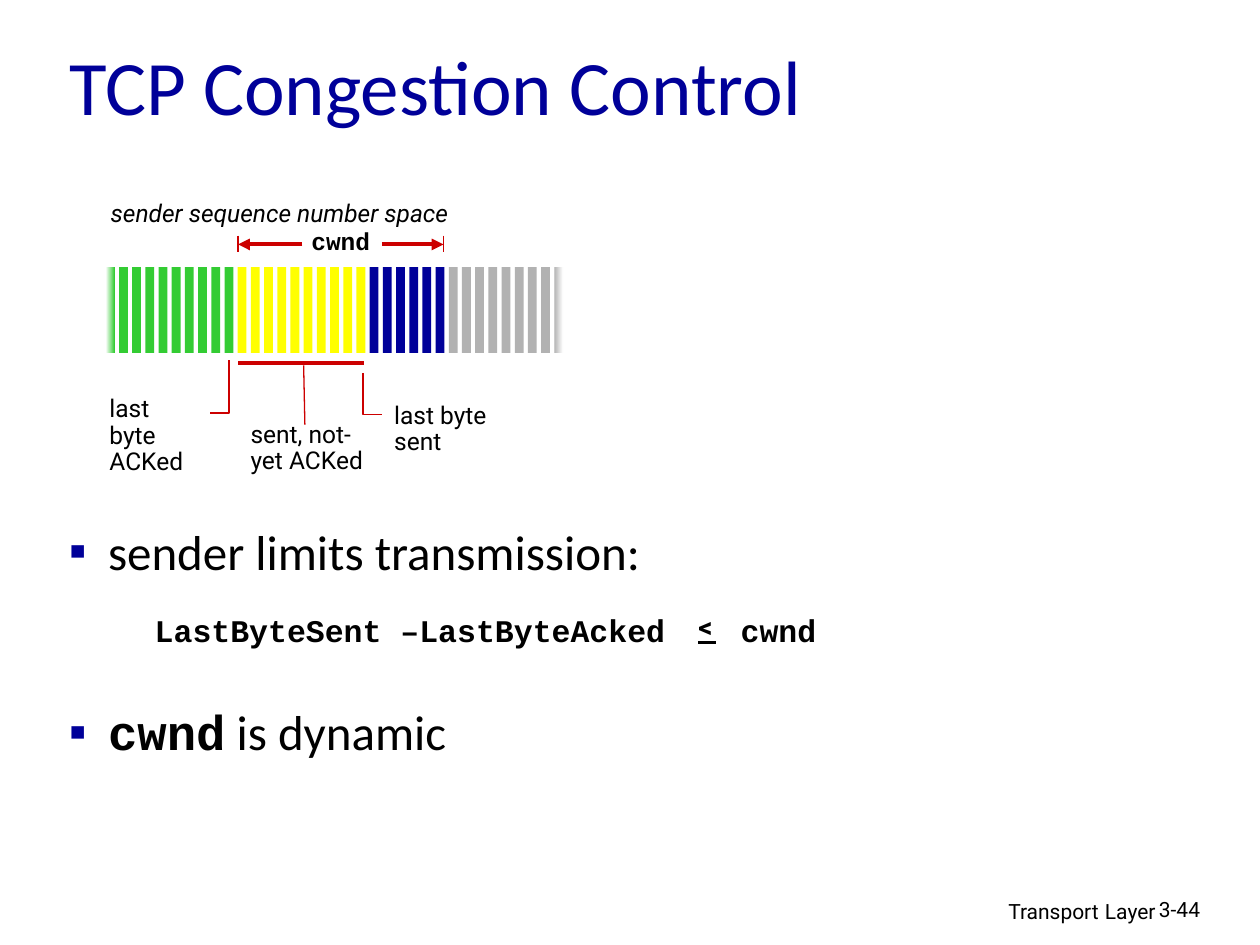
from lxml import etree
from pptx import Presentation
from pptx.dml.color import RGBColor
from pptx.enum.shapes import MSO_CONNECTOR as Connector, MSO_SHAPE as Shape
from pptx.enum.text import MSO_ANCHOR as Anchor, PP_ALIGN as Align
from pptx.oxml.ns import qn
from pptx.util import Inches, Pt

BLACK, NAVY, RED = "000000", "000099", "CC0000"
GREEN, YELLOW, GRAY, WHITE = "33CC33", "FFFF00", "B2B2B2", "FFFFFF"
SANS, LABEL, CODE = "Calibri", "Roboto", "Courier New"


def color(value):
    return RGBColor.from_string(value)


class SlideBuilder:
    def __init__(self, slide):
        self.slide = slide

    def text(self, left, top, width, height, wrap=True, anchor=Anchor.TOP):
        box = self.slide.shapes.add_textbox(
            Inches(left), Inches(top), Inches(width), Inches(height))
        box.text_frame.word_wrap = wrap
        box.text_frame.vertical_anchor = anchor
        return box.text_frame

    def paragraph(self, frame, first=True, align=Align.LEFT, spacing=1.0, before=0):
        paragraph = frame.paragraphs[0] if first else frame.add_paragraph()
        paragraph.alignment = align
        paragraph.line_spacing = spacing
        if before:
            paragraph.space_before = Pt(before)
        return paragraph

    def run(self, paragraph, text, size, font=LABEL, fill=BLACK, bold=False, italic=False):
        run = paragraph.add_run()
        run.text = text
        run.font.size = Pt(size)
        run.font.name = font
        run.font.bold = bold
        run.font.italic = italic
        run.font.color.rgb = color(fill)

    def bullet(self, paragraph):
        properties = paragraph._p.get_or_add_pPr()
        properties.set("marL", str(Inches(0.31)))
        properties.set("indent", str(-Inches(0.31)))
        bullet_color = etree.SubElement(properties, qn("a:buClr"))
        etree.SubElement(bullet_color, qn("a:srgbClr"), val=NAVY)
        etree.SubElement(properties, qn("a:buFont"), typeface="Wingdings")
        properties.find(qn("a:buFont")).set("typeface", SANS)
        etree.SubElement(properties, qn("a:buChar"), char="▪")

    def tab_stop(self, paragraph, position):
        tabs = etree.SubElement(paragraph._p.get_or_add_pPr(), qn("a:tabLst"))
        etree.SubElement(tabs, qn("a:tab"), pos=str(Inches(position)), algn="l")

    def label(self, left, top, width, height, lines, font=LABEL, align=Align.LEFT,
              wrap=True, spacing=0.9, size=14, bold=False, italic=False):
        frame = self.text(left, top, width, height, wrap)
        for index, line in enumerate(lines):
            paragraph = self.paragraph(frame, index == 0, align, spacing)
            self.run(paragraph, line, size, font, bold=bold, italic=italic)

    def stripe(self, left, fills):
        shape = self.slide.shapes.add_shape(
            Shape.RECTANGLE, Inches(left), Inches(2.12), Inches(0.07), Inches(0.68))
        shape.shadow.inherit = False
        shape.line.fill.background()
        if len(fills) == 1:
            shape.fill.solid()
            shape.fill.fore_color.rgb = color(fills[0])
            return
        shape.fill.gradient()
        shape.fill.gradient_angle = 0
        for stop, fill in zip(shape.fill.gradient_stops, fills):
            stop.color.rgb = color(fill)

    def line(self, start, end, width, stroke=RED, arrow=False):
        connector = self.slide.shapes.add_connector(
            Connector.STRAIGHT, *map(Inches, start + end))
        connector.line.color.rgb = color(stroke)
        connector.line.width = Pt(width)
        etree.SubElement(connector._element.spPr, qn("a:effectLst"))
        if arrow:
            line = connector.line._get_or_add_ln()
            etree.SubElement(line, qn("a:tailEnd"), type="triangle")

    def elbow(self, x, top, bottom, end):
        builder = self.slide.shapes.build_freeform(Inches(x), Inches(top), scale=1.0)
        corners = [(x, bottom), (end, bottom)]
        builder.add_line_segments(
            [(Inches(a), Inches(b)) for a, b in corners], close=False)
        shape = builder.convert_to_shape()
        shape.shadow.inherit = False
        shape.fill.background()
        shape.line.color.rgb = color(RED)
        shape.line.width = Pt(1)


def add_sequence_space(builder):
    stripes = ([(WHITE, GREEN)] + [(GREEN,)] * 9 + [(YELLOW,)] * 10
               + [(NAVY,)] * 6 + [(GRAY,)] * 8 + [(GRAY, WHITE)])
    first, last = 0.84, 4.4
    pitch = (last - first) / (len(stripes) - 1)
    for index, fills in enumerate(stripes):
        builder.stripe(first + index * pitch, fills)

    builder.line((1.89, 2.88), (2.89, 2.88), 2.25)
    builder.line((2.41, 2.9), (2.42, 3.37), 0.75)
    builder.elbow(1.82, 2.86, 3.28, 1.67)
    builder.elbow(2.88, 2.96, 3.29, 3.03)
    for start, end in ((3.03, 3.52), (2.4, 1.89)):
        builder.line((start, 1.94), (end, 1.94), 2.25, arrow=True)
        builder.line((end, 1.87), (end, 2), 0.75)

    builder.label(0.77, 3.1, 0.93, 0.52, ["last byte", "ACKed"], wrap=False)
    builder.label(1.89, 3.3, 1.17, 0.53, ["sent, not-yet ACKed"])
    builder.label(3.03, 3.15, 1.17, 0.52, ["last byte sent"])
    builder.label(2.37, 1.77, 0.67, 0.31, ["cwnd"], CODE, Align.CENTER,
                  wrap=False, bold=True)
    builder.label(0.78, 1.52, 2.98, 0.33, ["sender sequence number space"],
                  wrap=False, spacing=1.0, italic=True)


def add_points(builder):
    frame = builder.text(0.45, 4.16, 4.96, 1.85)
    limits = builder.paragraph(frame, spacing=0.85)
    builder.bullet(limits)
    builder.run(limits, "sender limits transmission:", 28, SANS)
    dynamic = builder.paragraph(frame, first=False, spacing=0.85, before=74.5)
    builder.bullet(dynamic)
    builder.run(dynamic, "cwnd", 28, CODE, bold=True)
    builder.run(dynamic, " is dynamic", 28, SANS)

    formula = builder.paragraph(builder.text(1.13, 4.85, 7.36, 0.68), spacing=0.85)
    builder.tab_stop(formula, 4.65)
    builder.run(formula, "LastByteSent –LastByteAcked\tcwnd", 18, CODE, bold=True)
    builder.label(5.41, 4.79, 0.38, 0.37, ["<"], align=Align.CENTER,
                  wrap=False, spacing=1.0, size=16, bold=True)
    builder.line((5.54, 5.1), (5.68, 5.1), 1.5, BLACK)


def main():
    presentation = Presentation()
    presentation.slide_width, presentation.slide_height = Inches(10), Inches(7.5)
    builder = SlideBuilder(presentation.slides.add_slide(presentation.slide_layouts[6]))

    title = builder.paragraph(builder.text(0.45, 0.25, 8.5, 0.84, anchor=Anchor.MIDDLE))
    builder.run(title, "TCP Congestion Control", 44, SANS, NAVY)
    add_sequence_space(builder)
    add_points(builder)

    footer = builder.paragraph(builder.text(6.1, 7.05, 3.17, 0.31), align=Align.RIGHT)
    for word, size in (("Transport", 12), (" ", 14), ("Layer", 12)):
        builder.run(footer, word, size)
    builder.label(9.1, 7.07, 0.74, 0.3, ["3-44"], spacing=1.0, size=12)
    presentation.save("out.pptx")


if __name__ == "__main__":
    main()
